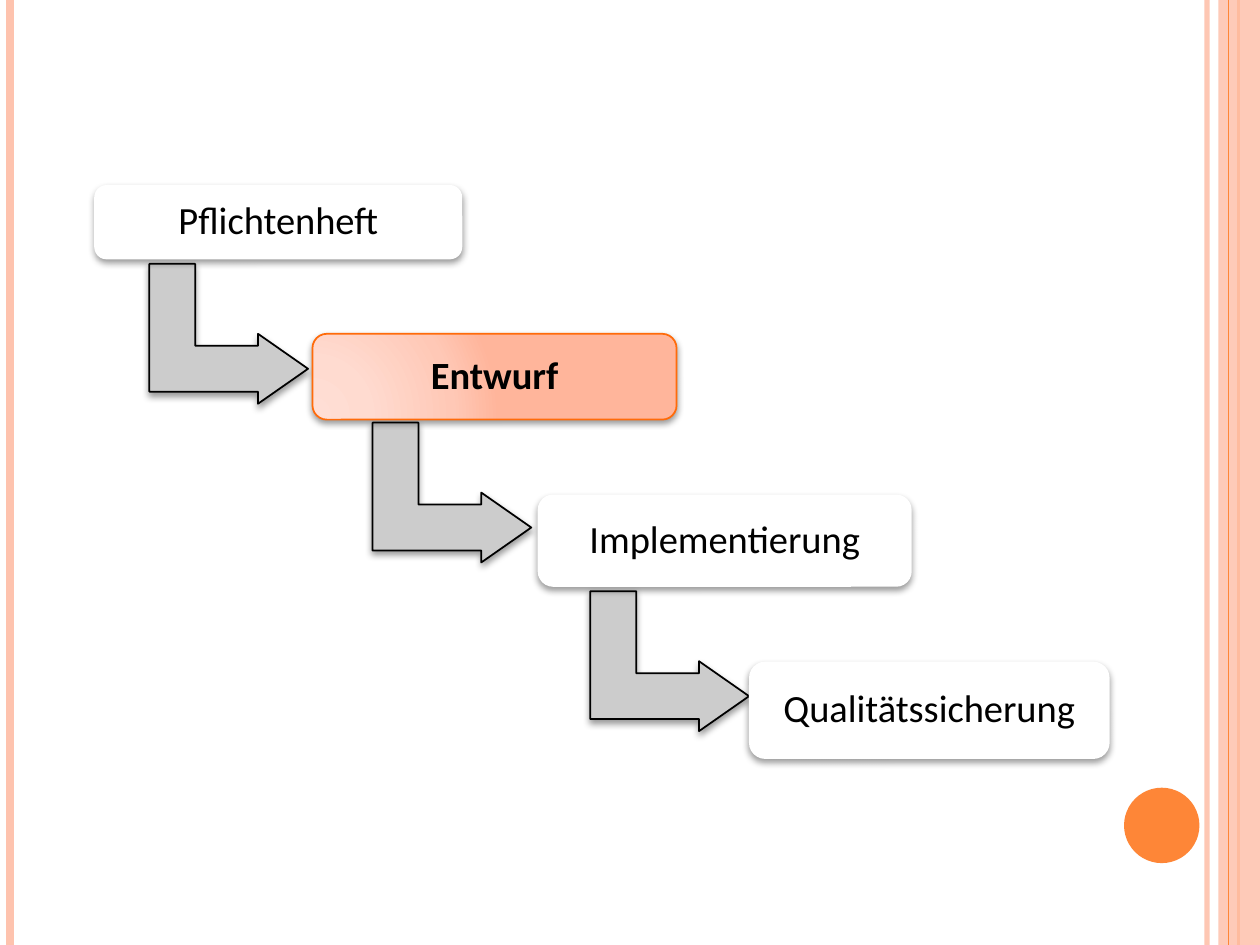
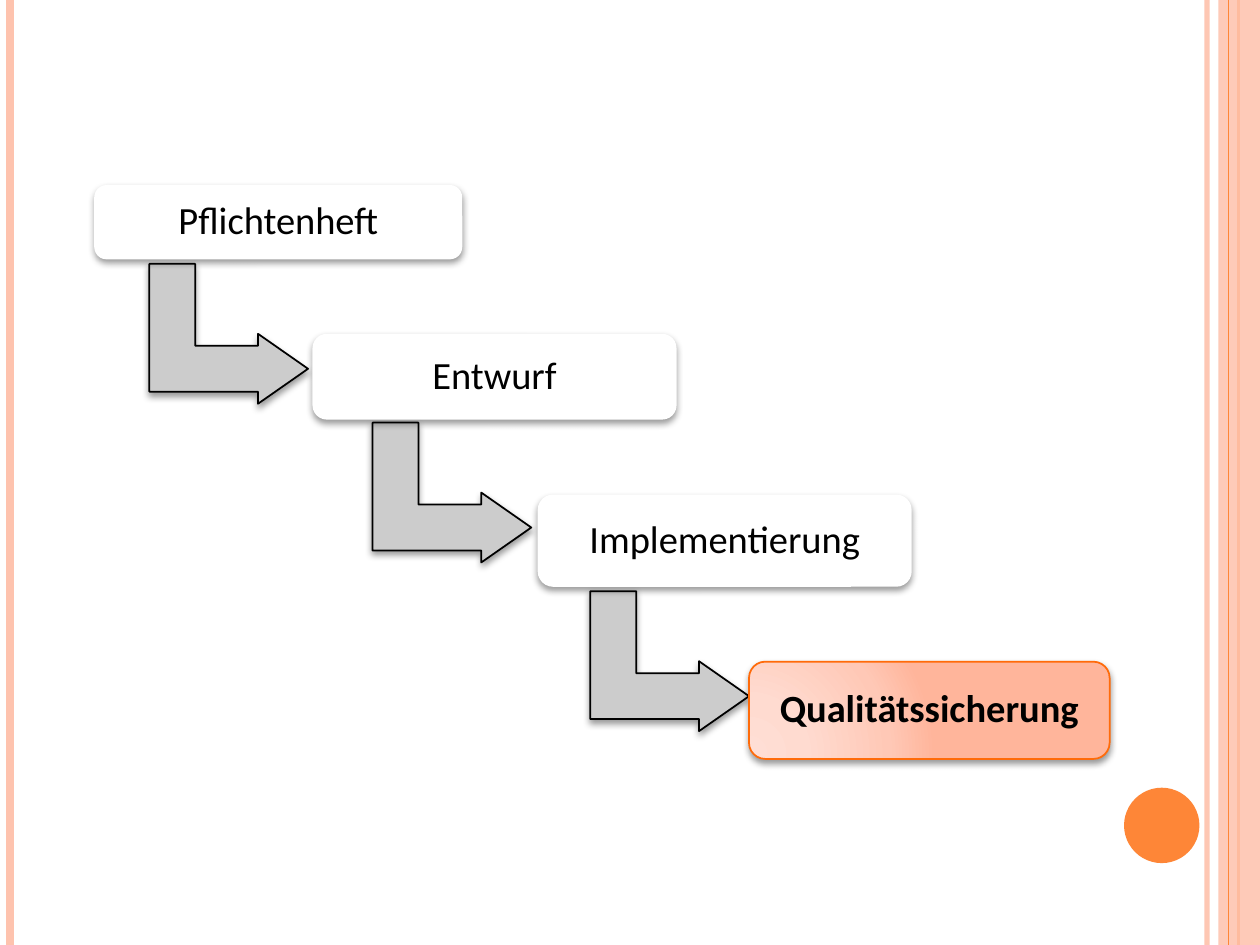
"""Build two slides of a project phase cascade, each highlighting one phase."""
from lxml import etree
from pptx import Presentation
from pptx.dml.color import RGBColor
from pptx.enum.shapes import MSO_CONNECTOR, MSO_SHAPE
from pptx.enum.text import MSO_ANCHOR, PP_ALIGN
from pptx.oxml import parse_xml
from pptx.oxml.ns import qn
from pptx.util import Cm, Pt

ROUNDED, ELBOW = MSO_SHAPE.ROUNDED_RECTANGLE, MSO_SHAPE.BENT_UP_ARROW
RECTANGLE, OVAL = MSO_SHAPE.RECTANGLE, MSO_SHAPE.OVAL
STRAIGHT = MSO_CONNECTOR.STRAIGHT
MIDDLE, CENTER = MSO_ANCHOR.MIDDLE, PP_ALIGN.CENTER

HIGHLIGHTS = ["Entwurf", "Qualitätssicherung"]
PHASES = [
    ("Pflichtenheft", (1.9, 3.73, 7.42, 1.5)),
    ("Entwurf", (6.3, 6.73, 7.34, 1.73)),
    ("Implementierung", (10.84, 9.97, 7.54, 1.86)),
    ("Qualitätssicherung", (15.1, 13.34, 7.27, 1.96)),
]
ELBOW_CORNERS = [(3.2, 5.13), (7.7, 8.33), (12.09, 11.73)]
ELBOW_SIZE = (2.82, 3.2)
ELBOW_ADJUSTMENTS = (0.328, 0.25, 0.358)

SLIDE_W, SLIDE_H = 25.4, 19.05
BAND = (24.56, 0, 0.84, SLIDE_H)
DISC = (22.66, 15.88, 1.52, 1.52)
STRIPES_BEHIND = [(24.33, "peach", 3, 93), (0.2, "peach", 4.5, 100), (24.97, "orange", 1.5, 100)]
STRIPES_FRONT = [(24.77, "orange", 0.75, 100)]

FONT = "Calibri"
COLORS = {
    "white": "FFFFFF", "black": "000000", "grey": "CCCCCC",
    "peach": "FEC3AE", "orange": "FE8637", "outline": "FF6B0A",
}
GLOW = [(0, "FFDED5"), (30, "FFDBD0"), (75, "FFC8B6"), (100, "FFB59B")]
NS = 'xmlns:a="http://schemas.openxmlformats.org/drawingml/2006/main"'


def rgb(name):
    return RGBColor.from_string(COLORS[name])


def set_opacity(shape, percent):
    if percent < 100:
        color = next(shape._element.spPr.iter(qn("a:srgbClr")))
        etree.SubElement(color, qn("a:alpha"), val=str(percent * 1000))


def add_shadow(shape):
    effects = shape._element.spPr.find(qn("a:effectLst"))
    effects.append(parse_xml(
        f'<a:outerShdw {NS} blurRad="{Pt(4)}" dist="{Pt(2)}" dir="5400000" rotWithShape="0">'
        f'<a:srgbClr val="{COLORS["black"]}"><a:alpha val="40000"/></a:srgbClr></a:outerShdw>'))


def fill_with_glow(shape):
    stops = "".join(f'<a:gs pos="{pos * 1000}"><a:srgbClr val="{color}"/></a:gs>'
                    for pos, color in GLOW)
    shape._element.spPr.find(qn("a:prstGeom")).addnext(parse_xml(
        f'<a:gradFill {NS} rotWithShape="1"><a:gsLst>{stops}</a:gsLst><a:path path="circle">'
        '<a:fillToRect l="5000" t="100000" r="120000" b="10000"/></a:path></a:gradFill>'))


def add_part(slide, kind, frame, fill=None, line=None):
    part = slide.shapes.add_shape(kind, *map(Cm, frame))
    part.shadow.inherit = False
    if fill:
        part.fill.solid()
        part.fill.fore_color.rgb = rgb(fill)
    else:
        fill_with_glow(part)
    if line:
        part.line.color.rgb = rgb(line)
        part.line.width = Pt(1)
    else:
        part.line.fill.background()
    return part


def write(shape, text, size=22, bold=False, color="black", inset=0.31):
    frame = shape.text_frame
    frame.word_wrap = True
    frame.vertical_anchor = MIDDLE
    frame.margin_left = frame.margin_right = Cm(inset)
    frame.margin_top = frame.margin_bottom = Cm(inset)
    paragraph = frame.paragraphs[0]
    paragraph.alignment = CENTER
    paragraph.line_spacing = 0.9
    run = paragraph.add_run()
    run.text = text
    run.font.name, run.font.size, run.font.bold = FONT, Pt(size), bold
    run.font.color.rgb = rgb(color)


def add_stripes(slide, stripes):
    for x, color, width, opacity in stripes:
        stripe = slide.shapes.add_connector(STRAIGHT, Cm(x), 0, Cm(x), Cm(SLIDE_H))
        stripe.line.color.rgb = rgb(color)
        stripe.line.width = Pt(width)
        set_opacity(stripe, opacity)
        etree.SubElement(stripe._element.spPr, qn("a:effectLst"))


def add_frame(slide):
    add_stripes(slide, STRIPES_BEHIND)
    set_opacity(add_part(slide, RECTANGLE, BAND, "peach"), 87)
    add_stripes(slide, STRIPES_FRONT)
    add_part(slide, OVAL, DISC, "orange")


def add_elbow(slide, corner):
    elbow = add_part(slide, ELBOW, corner + ELBOW_SIZE, "grey", "black")
    elbow.rotation = 90
    for index, value in enumerate(ELBOW_ADJUSTMENTS):
        elbow.adjustments[index] = value
    add_shadow(elbow)


def add_phase(slide, name, frame, active):
    if active:
        phase = add_part(slide, ROUNDED, frame, line="outline")
    else:
        phase = add_part(slide, ROUNDED, frame, "white")
    add_shadow(phase)
    write(phase, name, bold=active)


def main():
    deck = Presentation()
    deck.slide_width, deck.slide_height = Cm(SLIDE_W), Cm(SLIDE_H)
    for highlight in HIGHLIGHTS:
        slide = deck.slides.add_slide(deck.slide_layouts[6])
        add_frame(slide)
        for index, (name, frame) in enumerate(PHASES):
            if index < len(ELBOW_CORNERS):
                add_elbow(slide, ELBOW_CORNERS[index])
            add_phase(slide, name, frame, name == highlight)
    deck.save("out.pptx")


if __name__ == "__main__":
    main()
